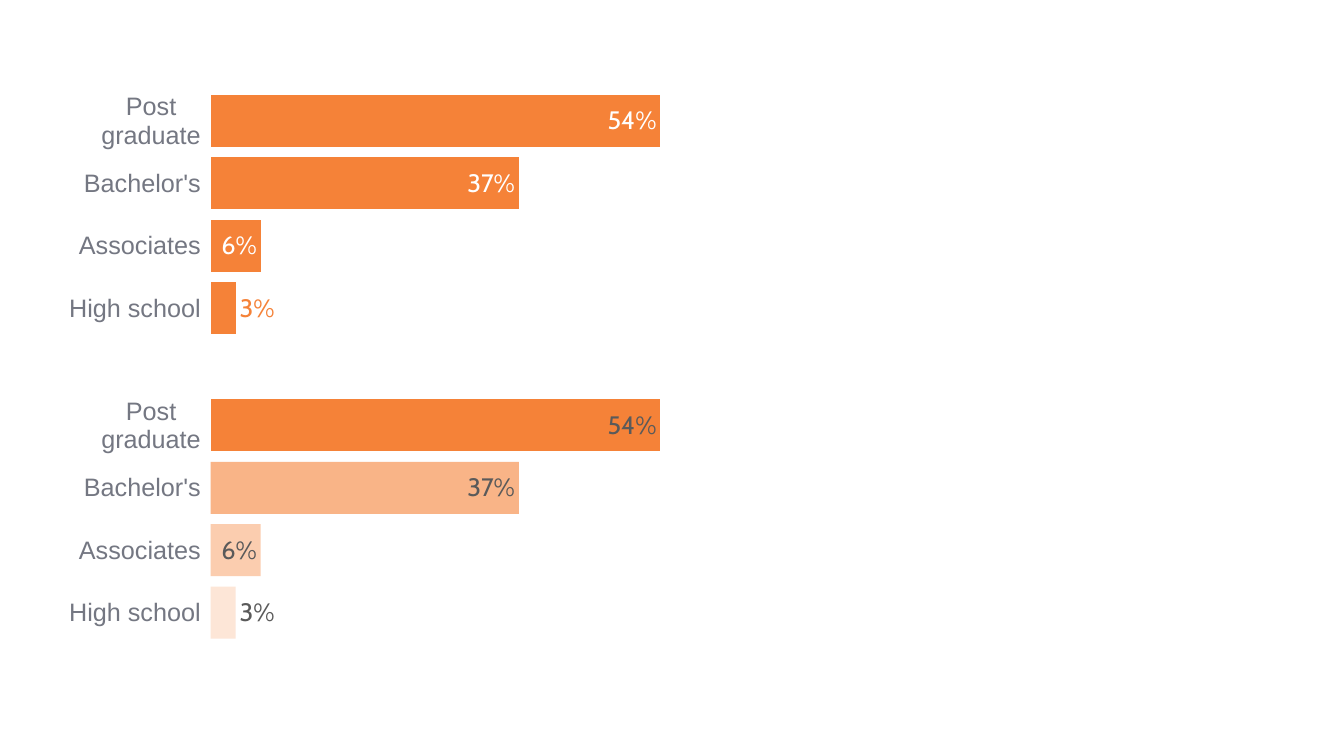
from lxml import etree
from pptx import Presentation
from pptx.chart.data import CategoryChartData
from pptx.dml.color import RGBColor
from pptx.enum.chart import XL_CHART_TYPE as ChartType, XL_LABEL_POSITION as LabelPosition
from pptx.enum.chart import XL_TICK_MARK as TickMark
from pptx.oxml import parse_xml
from pptx.oxml.ns import nsdecls, qn
from pptx.util import Inches, Pt

ORANGE = RGBColor(0xF5, 0x82, 0x38)
WHITE = RGBColor(0xFF, 0xFF, 0xFF)
DARK_GREY = RGBColor(0x5A, 0x5A, 0x5A)
AXIS_GREY = RGBColor(0x74, 0x77, 0x82)

EDUCATION = {
    "High school": 0.03,
    "Associates": 0.06,
    "Bachelor's": 0.37,
    "Post graduate": 0.54,
}


def style_font(font, name, size, color):
    font.name = name
    font.size = Pt(size)
    font.color.rgb = color


def fill_bar(fill, opacity=100):
    fill.solid()
    fill.fore_color.rgb = ORANGE


def fade_bar(point, opacity):
    """Tint one bar by giving its fill a percentage of opacity."""
    fill_bar(point.format.fill)
    color = point.format.fill._xPr.find(f".//{qn('a:srgbClr')}")
    etree.SubElement(color, qn("a:alpha")).set("val", str(opacity * 1000))


def place_plot(chart, x, y, width, height):
    """Fix the inner plot area, as fractions of the chart."""
    plot_area = chart._chartSpace.chart.plotArea
    for layout in plot_area.findall(qn("c:layout")):
        plot_area.remove(layout)
    plot_area.insert(0, parse_xml(
        f'<c:layout {nsdecls("c")}><c:manualLayout>'
        '<c:layoutTarget val="inner"/><c:xMode val="edge"/><c:yMode val="edge"/>'
        f'<c:x val="{x}"/><c:y val="{y}"/><c:w val="{width}"/><c:h val="{height}"/>'
        '</c:manualLayout></c:layout>'))


def style_axes(chart):
    categories = chart.category_axis
    categories.major_tick_mark = TickMark.OUTSIDE
    categories.format.line.fill.background()
    style_font(categories.tick_labels.font, "Arial", 18, AXIS_GREY)
    values = chart.value_axis
    values.minimum_scale = 0
    values.maximum_scale = 0.6
    values.major_unit = 0.2
    values.has_major_gridlines = False
    values.tick_labels.number_format = "0%"
    values.tick_labels.number_format_is_linked = False
    values.visible = False


def add_education_chart(page, top, label_color, outside_color, opacities=()):
    data = CategoryChartData(number_format="0%")
    data.categories = list(EDUCATION)
    data.add_series("Series 1", list(EDUCATION.values()))
    chart = page.shapes.add_chart(
        ChartType.BAR_CLUSTERED, Inches(0.57), Inches(top), Inches(6.61), Inches(2.58), data
    ).chart
    chart.has_legend = False
    chart.has_title = False
    style_font(chart.font, "Cabin", 16, WHITE)
    style_axes(chart)
    place_plot(chart, 0.23, 0.02, 0.75, 0.96)

    # Bars
    plot = chart.plots[0]
    plot.gap_width = 20
    plot.vary_by_categories = False
    series = plot.series[0]
    fill_bar(series.format.fill)
    for index, opacity in enumerate(opacities):
        fade_bar(series.points[index], opacity)

    # Labels: the shortest bar has its value outside
    labels = series.data_labels
    labels.show_value = True
    labels.number_format = "0%"
    labels.number_format_is_linked = False
    labels.position = LabelPosition.INSIDE_END
    style_font(labels.font, "Cabin", 18, label_color)
    shortest = series.points[0].data_label
    style_font(shortest.font, "Cabin", 18, outside_color)
    shortest.position = LabelPosition.OUTSIDE_END


def main():
    deck = Presentation()
    deck.slide_width = Inches(13.33)
    deck.slide_height = Inches(7.5)
    page = deck.slides.add_slide(deck.slide_layouts[6])

    # Tinted bars below, plain bars above
    add_education_chart(page, 3.86, DARK_GREY, DARK_GREY, opacities=(20, 40, 60))
    add_education_chart(page, 0.84, WHITE, ORANGE)
    deck.save("out.pptx")


if __name__ == "__main__":
    main()
